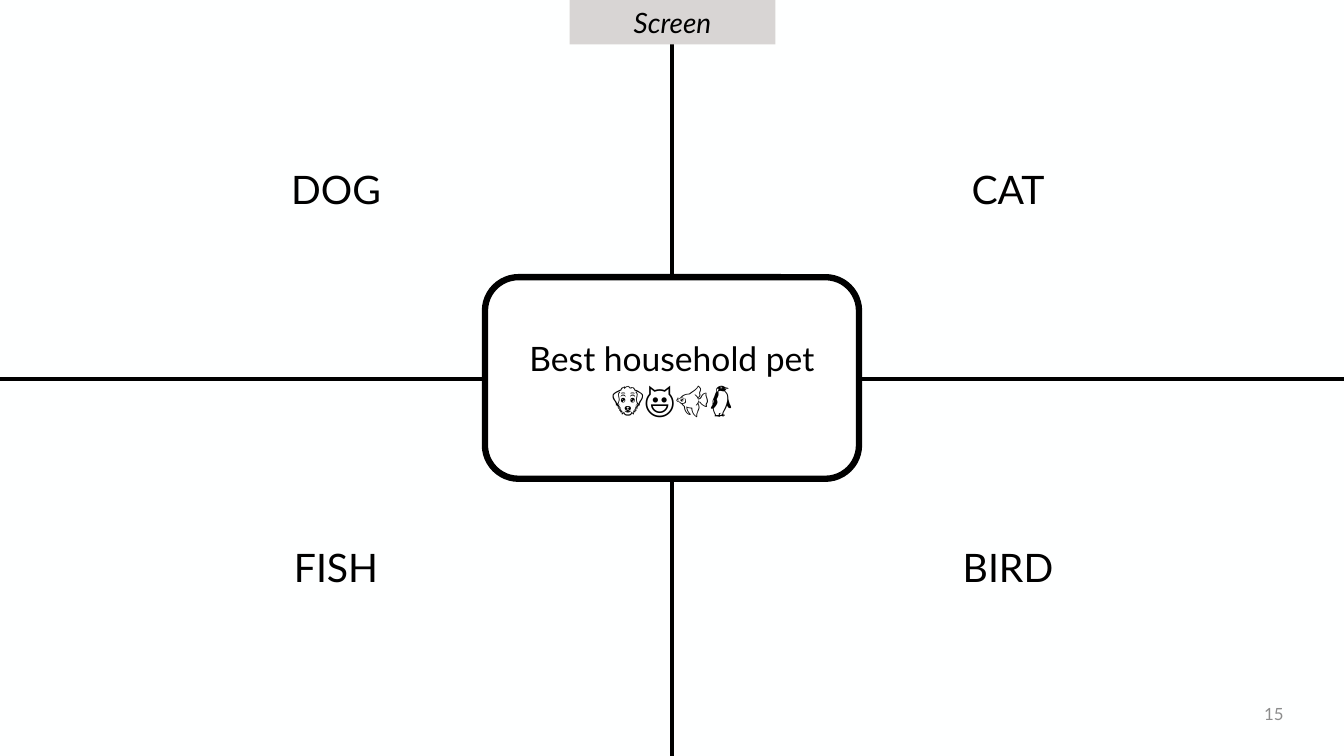
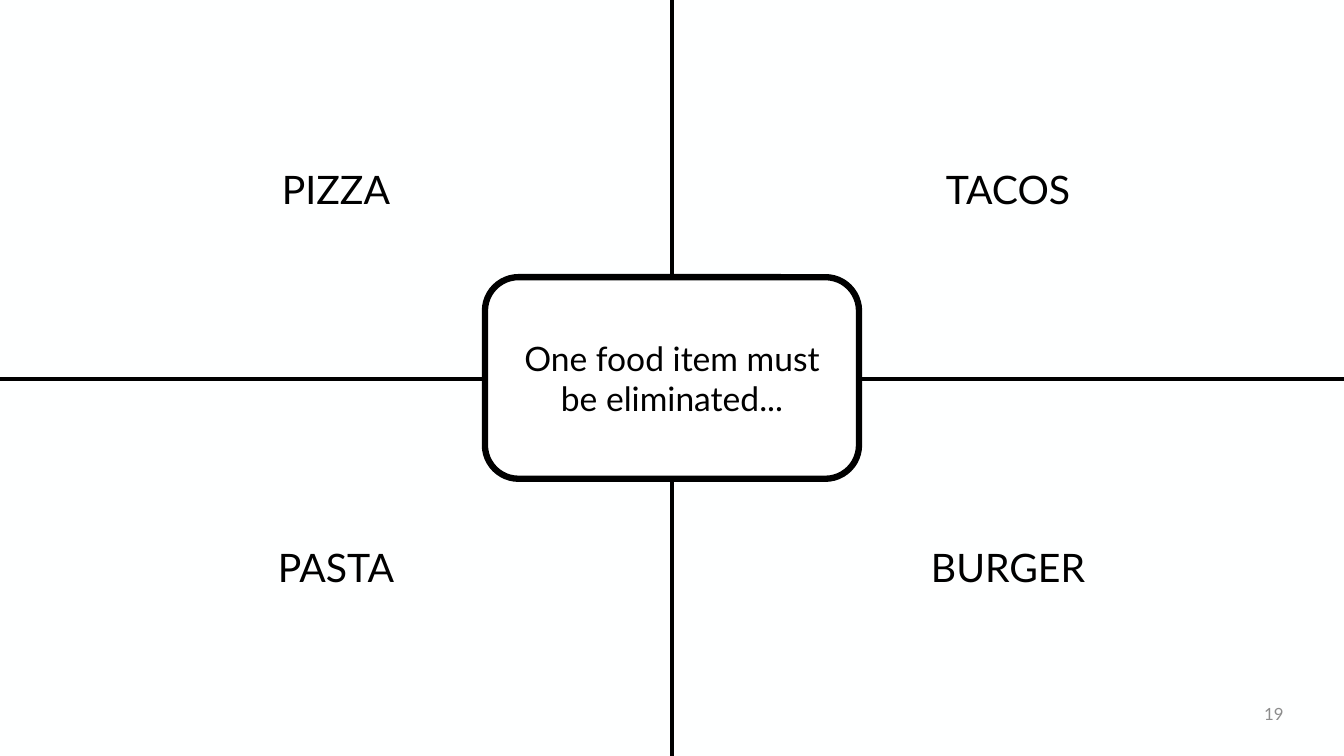
from lxml import etree
from pptx import Presentation
from pptx import util as u
from pptx.dml.color import RGBColor
from pptx.enum import shapes, text
from pptx.oxml.ns import qn

BACKGROUND = RGBColor(0xFE, 0xFF, 0xFF)
WHITE = RGBColor(0xFF, 0xFF, 0xFF)
BLACK = RGBColor(0, 0, 0)
TAG_GREY = RGBColor(0xD8, 0xD5, 0xD4)
NUMBER_GREY = RGBColor(0x8C, 0x8C, 0x8C)

WIDTH, HEIGHT = u.Inches(13.33), u.Inches(7.5)
CARD = [u.Inches(n) for n in (4.81, 2.75, 3.71, 2)]
SCREEN_TAG = [u.Inches(n) for n in (5.65, 0, 2.04, 0.44)]
PAGE_NUMBER = [u.Inches(n) for n in (11.63, 6.88, 1.2, 0.4)]
TITLE_ONLY = 5


class CornersDeck:
    """Slides with four options around a central prompt."""

    base_font = {"name": "Lato", "bold": False}

    def __init__(self):
        self.prs = Presentation()
        self.prs.slide_width, self.prs.slide_height = WIDTH, HEIGHT
        self.slide = None

    def add_slide(self):
        self.slide = self.prs.slides.add_slide(self.prs.slide_layouts[TITLE_ONLY])
        fill = self.slide.background.fill
        fill.solid()
        fill.fore_color.rgb = BACKGROUND

    def set_text(self, frame, lines, size, color=BLACK,
                 align=text.PP_ALIGN.CENTER, **extra):
        frame.word_wrap = True
        frame.vertical_anchor = text.MSO_ANCHOR.MIDDLE
        frame.text = "\n".join(lines)
        style = {**self.base_font, "size": u.Pt(size), **extra}
        for paragraph in frame.paragraphs:
            paragraph.alignment = align
            for run in paragraph.runs:
                for key, value in style.items():
                    setattr(run.font, key, value)
                run.font.color.rgb = color

    def box(self, kind, place, fill, line_width=None):
        shape = self.slide.shapes.add_shape(kind, *place)
        shape.shadow.inherit = False
        shape.fill.solid()
        shape.fill.fore_color.rgb = fill
        if line_width:
            shape.line.color.rgb = BLACK
            shape.line.width = u.Pt(line_width)
        else:
            shape.line.fill.background()
        return shape

    def borders(self, cell, inner_sides):
        """Rule the given sides of a cell in black and clear the others."""
        properties = cell._tc.get_or_add_tcPr()
        for side in "LRTB":
            line = etree.SubElement(properties, qn(f"a:ln{side}"))
            if side in inner_sides:
                line.set("w", str(u.Pt(3)))
                solid = etree.SubElement(line, qn("a:solidFill"))
                etree.SubElement(solid, qn("a:srgbClr"), val=str(BLACK))
            else:
                etree.SubElement(line, qn("a:noFill"))

    def options(self, rows):
        table = self.slide.shapes.add_table(2, 2, 0, 0, WIDTH, HEIGHT).table
        table.first_row = table.horz_banding = False
        for row, height in zip(table.rows, (3.76, 3.74)):
            row.height = u.Inches(height)
        for r, row in enumerate(rows):
            for c, option in enumerate(row):
                cell = table.cell(r, c)
                self.borders(cell, "RL"[c] + "BT"[r])
                cell.fill.background()
                self.set_text(cell.text_frame, [option], 28)
                cell.vertical_anchor = text.MSO_ANCHOR.MIDDLE

    def prompt(self, lines):
        """Place the slide title on a rounded card in the centre."""
        self.box(shapes.MSO_SHAPE.ROUNDED_RECTANGLE, CARD, WHITE, 4.5)
        title = self.slide.shapes.title
        self.slide.shapes._spTree.append(title._element)
        title.left, title.top, title.width, title.height = CARD
        frame = title.text_frame
        frame.auto_size = text.MSO_AUTO_SIZE.NONE
        frame.margin_left = frame.margin_right = u.Inches(0.25)
        self.set_text(frame, lines, 24)

    def screen_tag(self, label):
        tag = self.box(shapes.MSO_SHAPE.RECTANGLE, SCREEN_TAG, TAG_GREY)
        self.set_text(tag.text_frame, [label], 20, italic=True)

    def page_number(self, number):
        box = self.slide.shapes.add_textbox(*PAGE_NUMBER)
        self.set_text(box.text_frame, [str(number)], 12, NUMBER_GREY,
                      text.PP_ALIGN.RIGHT)


def main():
    deck = CornersDeck()

    deck.add_slide()
    deck.page_number(15)
    deck.options([("DOG", "CAT"), ("FISH", "BIRD")])
    deck.prompt(["Best household pet", "🐶😺🐠🐧"])
    deck.screen_tag("Screen")

    deck.add_slide()
    deck.page_number(19)
    deck.options([("PIZZA", "TACOS"), ("PASTA", "BURGER")])
    deck.prompt(["One food item must be eliminated..."])

    deck.prs.save("out.pptx")


if __name__ == "__main__":
    main()
